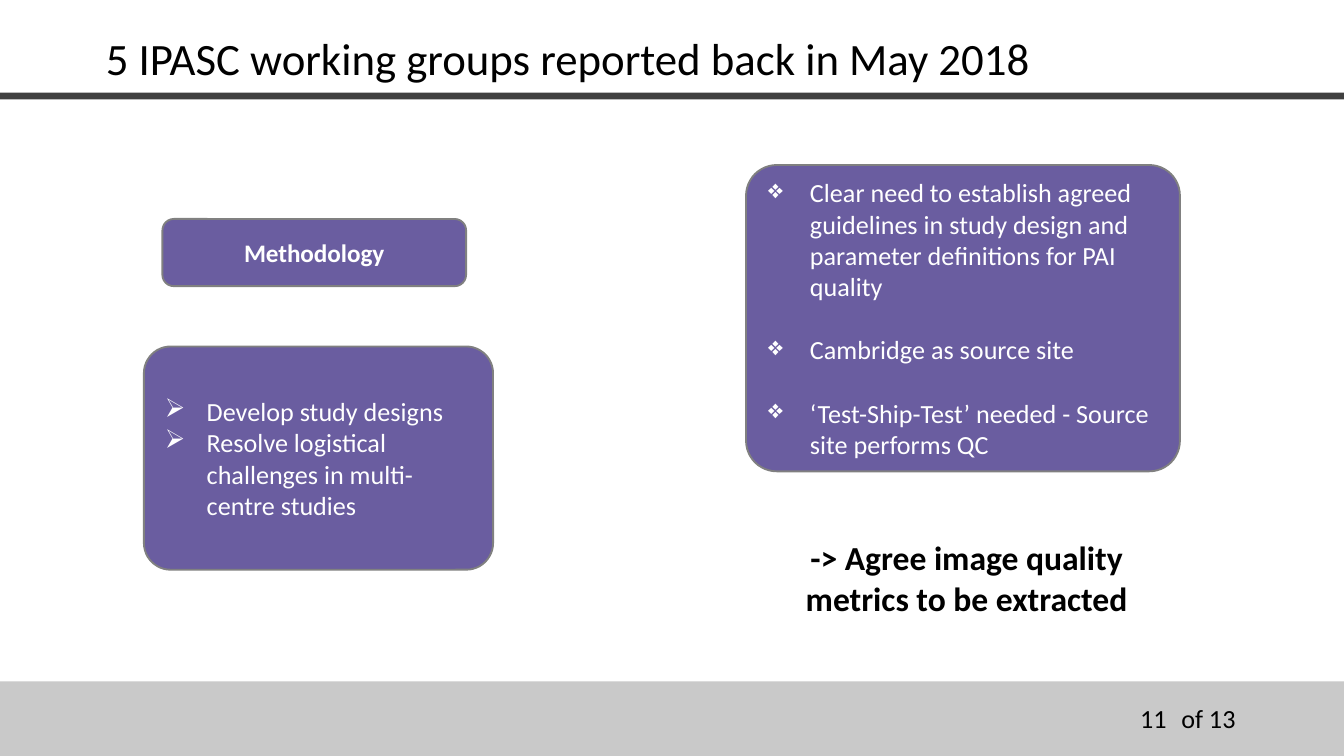
"""Build the slide on the Methodology working group."""
from lxml.etree import SubElement
from pptx import Presentation
from pptx.dml.color import RGBColor
from pptx.enum.shapes import MSO_SHAPE as SH
from pptx.enum.text import MSO_ANCHOR as VA, PP_ALIGN as AL
from pptx.oxml.ns import qn
from pptx.util import Cm, Pt


def paint(fmt, color):
    fmt.solid()
    fmt.fore_color.rgb = RGBColor.from_string(color)


def write(sp, lines, color, fmt, anchor=VA.MIDDLE, align=AL.LEFT, bullet=None, gap=0, spacing=1.0):
    tf = sp.text_frame
    for k, v in {"word_wrap": True, "vertical_anchor": anchor}.items():
        setattr(tf, k, v)
    for i, line in enumerate(lines):
        p = tf.paragraphs[0] if i == 0 else tf.add_paragraph()
        layout = {"alignment": align, "line_spacing": spacing, "space_before": Pt(gap if i else 0)}
        for k, v in layout.items():
            setattr(p, k, v)
        if bullet:
            pPr = p._p.get_or_add_pPr()
            pPr.set("marL", str(Cm(0.79)))
            pPr.set("indent", str(-Cm(0.79)))
            SubElement(pPr, qn("a:buChar")).set("char", bullet)
        r = p.add_run()
        r.text = line
        for k, v in {"name": "Calibri", **fmt}.items():
            setattr(r.font, k, v)
        paint(r.font.fill, color)


prs = Presentation()
prs.slide_width, prs.slide_height = Cm(25.4), Cm(14.29)
s = prs.slides.add_slide(prs.slide_layouts[6])

bands = [(12.88, 1.41, "C9C9C9"), (1.75, 0.13, "404040")]
for top, height, color in bands:
    sp = s.shapes.add_shape(SH.RECTANGLE, 0, Cm(top), prs.slide_width, Cm(height))
    sp.shadow.inherit = False
    paint(sp.fill, color)
    sp.line.fill.background()

body = {"size": Pt(14)}
texts = [
    ((1.75, 0.58, 21.9, 1.14), "5 IPASC working groups reported back in May 2018",
     {"size": Pt(24)}, {"spacing": 0.9}),
    ((22, 13.18, 1.68, 0.79), "of 13", body, {"align": AL.CENTER}),
    ((21.11, 13.18, 1.19, 0.79), "11", body, {"align": AL.RIGHT}),
    ((14.22, 10.03, 8.1, 1.8), "-> Agree image quality metrics to be extracted",
     {"size": Pt(18), "bold": True}, {"align": AL.CENTER, "anchor": VA.TOP}),
]
for box, text, fmt, opts in texts:
    sp = s.shapes.add_textbox(*map(Cm, box))
    write(sp, [text], "000000", fmt, **opts)

tasks = ["Develop study designs", "Resolve logistical challenges in multi-centre studies"]
findings = [
    "Clear need to establish agreed guidelines in study design and parameter definitions for PAI quality",
    "Cambridge as source site",
    "‘Test-Ship-Test’ needed - Source site performs QC",
]
cards = [
    ((3.07, 4.14, 5.74, 1.27), 0.17, ["Methodology"],
     {"size": Pt(13.5), "bold": True}, {"align": AL.CENTER}),
    ((2.72, 6.55, 6.6, 4.22), 0.12, tasks, body, {"bullet": "➢"}),
    ((14.1, 3.12, 8.2, 5.79), 0.1, findings, body, {"bullet": "❖", "gap": 17}),
]
for box, corner, lines, fmt, opts in cards:
    sp = s.shapes.add_shape(SH.ROUNDED_RECTANGLE, *map(Cm, box))
    sp.adjustments[0] = corner
    sp.shadow.inherit = False
    paint(sp.fill, "6A5DA0")
    paint(sp.line.fill, "808080")
    sp.line.width = Pt(1)
    write(sp, lines, "FFFFFF", fmt, **opts)

prs.save("out.pptx")
